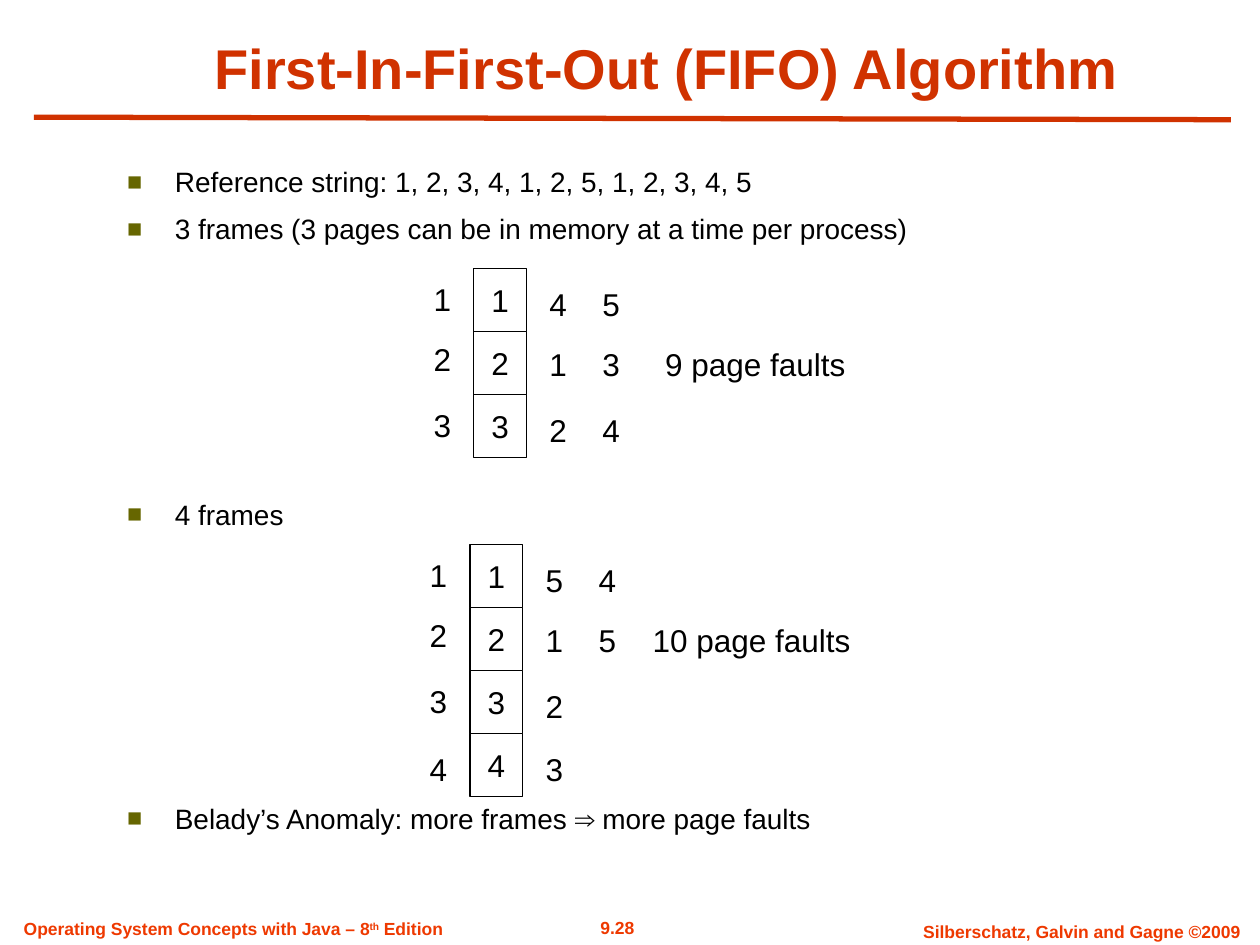
from dataclasses import dataclass

import pptx
import pptx.dml.color
import pptx.enum.shapes
import pptx.enum.text
import pptx.oxml.ns
import pptx.util
from lxml import etree

Inches = pptx.util.Inches
Pt = pptx.util.Pt
ALIGN = pptx.enum.text.PP_ALIGN
ANCHOR = pptx.enum.text.MSO_ANCHOR


@dataclass(frozen=True)
class Theme:
    font: str = "Arial"
    title: str = "D03200"
    footer: str = "EE3900"
    bullet: str = "666600"
    ink: str = "000000"
    paper: str = "FFFFFF"
    title_size: int = 32
    body_size: int = 16
    diagram_size: int = 18
    footer_size: int = 10


THEME = Theme()

# Text and the space before it, which leaves room for the frame diagrams.
BULLETS = [
    ("Reference string: 1, 2, 3, 4, 1, 2, 5, 1, 2, 3, 4, 5", 0),
    ("3 frames (3 pages can be in memory at a time per process)", 7.5),
    ("4 frames", 144),
    ("Belady’s Anomaly: more frames ⇒ more page faults", 154.5),
]

FRAME_WIDTH, FRAME_HEIGHT = 0.42, 0.5
LABEL_WIDTH, LABEL_HEIGHT = 0.34, 0.4
LABEL_ROWS = [0.04, 0.52, 1.04, 1.58]
REPLACED_ROWS = [0.08, 0.56, 1.08, 1.58]
LABEL_COLUMN = -0.42
REPLACED_COLUMNS = [0.5, 0.92]


def rgb(value):
    return pptx.dml.color.RGBColor.from_string(value)


def style_font(font, size, color, bold=False):
    font.name = THEME.font
    font.size = Pt(size)
    font.bold = bold
    font.color.rgb = rgb(color)


def add_text(shapes, box, text, size, color, bold=False, align=ALIGN.CENTER,
             anchor=ANCHOR.TOP, wrap=False):
    shape = shapes.add_textbox(*map(Inches, box))
    frame = shape.text_frame
    frame.text = text
    frame.word_wrap = wrap
    frame.vertical_anchor = anchor
    paragraph = frame.paragraphs[0]
    paragraph.alignment = align
    for run in paragraph.runs:
        style_font(run.font, size, color, bold)
    return shape


def add_footer(slide, box, text, align=ALIGN.CENTER, wrap=False):
    return add_text(slide.shapes, box, text, THEME.footer_size, THEME.footer,
                    True, align, wrap=wrap)


def add_edition_footer(slide):
    shape = add_footer(slide, (0.09, 7.24, 3.9, 0.27),
                       "Operating System Concepts with Java – 8", ALIGN.LEFT,
                       wrap=True)
    paragraph = shape.text_frame.paragraphs[0]
    for text, baseline in (("th", "30000"), (" Edition", "0")):
        run = paragraph.add_run()
        run.text = text
        style_font(run.font, THEME.footer_size, THEME.footer, True)
        run.font._element.set("baseline", baseline)


def add_title_rule(slide):
    rule = slide.shapes.add_connector(
        pptx.enum.shapes.MSO_CONNECTOR.STRAIGHT,
        Inches(0.27), Inches(0.93), Inches(9.77), Inches(0.95))
    rule.line.color.rgb = rgb(THEME.title)
    rule.line.width = Pt(3)
    etree.SubElement(rule._element.spPr, pptx.oxml.ns.qn("a:effectLst"))


def add_square_bullet(paragraph):
    qn = pptx.oxml.ns.qn
    properties = paragraph._p.get_or_add_pPr()
    properties.set("marL", str(Inches(0.38)))
    properties.set("indent", str(-Inches(0.38)))
    color = etree.SubElement(properties, qn("a:buClr"))
    etree.SubElement(color, qn("a:srgbClr"), val=THEME.bullet)
    etree.SubElement(properties, qn("a:buSzPct"), val="90000")
    etree.SubElement(properties, qn("a:buFont"), typeface=THEME.font)
    etree.SubElement(properties, qn("a:buChar"), char="■")


def add_bullets(slide):
    shape = slide.shapes.add_textbox(
        Inches(0.91), Inches(1.26), Inches(7.69), Inches(5.99))
    frame = shape.text_frame
    frame.word_wrap = True
    frame.text = "\n".join(text for text, _ in BULLETS)
    for paragraph, (_, space) in zip(frame.paragraphs, BULLETS):
        if space:
            paragraph.space_before = Pt(space)
        add_square_bullet(paragraph)
        for run in paragraph.runs:
            style_font(run.font, THEME.body_size, THEME.ink)


def add_frame_cell(shapes, left, top, text):
    shape = shapes.add_shape(
        pptx.enum.shapes.MSO_SHAPE.RECTANGLE, Inches(left), Inches(top),
        Inches(FRAME_WIDTH), Inches(FRAME_HEIGHT))
    shape.shadow.inherit = False
    shape.fill.solid()
    shape.fill.fore_color.rgb = rgb(THEME.paper)
    shape.line.color.rgb = rgb(THEME.ink)
    shape.line.width = Pt(0.75)
    frame = shape.text_frame
    frame.text = text
    frame.word_wrap = False
    frame.vertical_anchor = ANCHOR.MIDDLE
    paragraph = frame.paragraphs[0]
    paragraph.alignment = ALIGN.CENTER
    style_font(paragraph.runs[0].font, THEME.diagram_size, THEME.ink)


def add_diagram_text(shapes, left, top, text, width=LABEL_WIDTH):
    add_text(shapes, (left, top, width, LABEL_HEIGHT), text,
             THEME.diagram_size, THEME.ink, anchor=ANCHOR.MIDDLE)


def add_frame_diagram(slide, left, top, frame_count, replaced, faults):
    """Draw numbered frames, the pages that later fill them and the fault count."""
    shapes = slide.shapes.add_group_shape().shapes
    for index in range(frame_count):
        number = str(index + 1)
        add_frame_cell(shapes, left, top + index * FRAME_HEIGHT, number)
        add_diagram_text(shapes, left + LABEL_COLUMN,
                         top + LABEL_ROWS[index], number)
    for column, pages in zip(REPLACED_COLUMNS, replaced):
        for row, page in zip(REPLACED_ROWS, pages):
            add_diagram_text(shapes, left + column, top + row, page)
    text, text_left, width = faults
    add_diagram_text(shapes, text_left, top + REPLACED_ROWS[1], text, width)


def main():
    presentation = pptx.Presentation()
    presentation.slide_width = Inches(10)
    presentation.slide_height = Inches(7.5)
    slide = presentation.slides.add_slide(presentation.slide_layouts[6])

    add_footer(slide, (4.41, 7.23, 0.98, 0.27), "9.28")
    add_footer(slide, (7.1, 7.26, 2.97, 0.27),
               "Silberschatz, Galvin and Gagne ©2009", wrap=True)
    add_edition_footer(slide)
    add_title_rule(slide)
    add_text(slide.shapes, (1.08, 0.22, 8.42, 0.63),
             "First-In-First-Out (FIFO) Algorithm", THEME.title_size,
             THEME.title, True, anchor=ANCHOR.BOTTOM, wrap=True)
    add_bullets(slide)
    add_frame_diagram(slide, 3.76, 2.13, 3, ["412", "534"],
                      ("9 page faults", 5.18, 1.63))
    add_frame_diagram(slide, 3.73, 4.32, 4, ["5123", "45"],
                      ("10 page faults", 5.08, 1.77))
    presentation.save("out.pptx")


if __name__ == "__main__":
    main()
